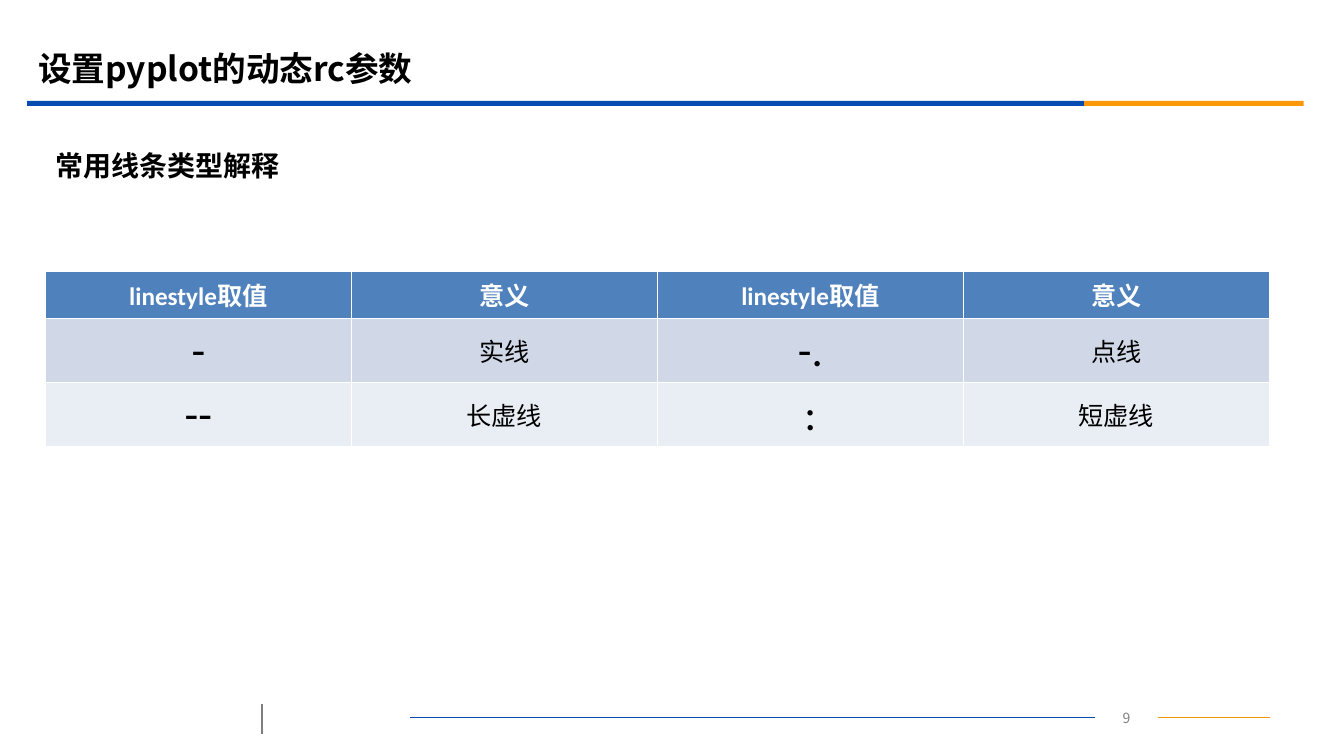
"""Build the slide that explains the common pyplot line styles."""
from dataclasses import dataclass

from lxml import etree
from pptx import Presentation
from pptx.dml.color import RGBColor
from pptx.enum.shapes import MSO_CONNECTOR, MSO_SHAPE
from pptx.enum.text import MSO_ANCHOR, MSO_AUTO_SIZE, PP_ALIGN
from pptx.oxml.ns import qn
from pptx.slide import Slide
from pptx.text.text import TextFrame
from pptx.util import Inches, Pt

STRAIGHT = MSO_CONNECTOR.STRAIGHT
RECTANGLE = MSO_SHAPE.RECTANGLE
MIDDLE = MSO_ANCHOR.MIDDLE
NO_AUTOFIT = MSO_AUTO_SIZE.NONE
LEFT, CENTER = PP_ALIGN.LEFT, PP_ALIGN.CENTER

CHINESE_FONT, LATIN_FONT = "Noto Sans CJK SC", "Calibri"
BLACK, WHITE, GRAY, BLUE = "000000", "FFFFFF", "7F7F7F", "064BB2"
TITLE_ONLY_LAYOUT = 5
THIN_BORDER, HEADER_BORDER = 0.45, 1.47


@dataclass
class Bar:
    left: float
    width: float
    color: str


@dataclass
class Rule:
    start: tuple[float, float]
    end: tuple[float, float]
    color: str
    width: float


@dataclass
class Piece:
    text: str
    font: str = CHINESE_FONT
    size: float = 18


@dataclass
class Row:
    height: float
    fill: str
    color: str
    bold: bool
    top_border: float
    bottom_border: float
    cells: list[list[Piece]]


def symbol(text: str) -> list[Piece]:
    return [Piece(text, LATIN_FONT, 32)]


def meaning(text: str) -> list[Piece]:
    return [Piece(text)]


HEADER_PAIR = [[Piece("linestyle", LATIN_FONT), Piece("取值")], meaning("意义")]
BARS = [Bar(0.27, 10.49, BLUE), Bar(10.76, 2.18, "FB9708")]
RULES = [
    Rule((11.49, 7.12), (12.61, 7.12), "F19500", 0.75),
    Rule((4.07, 7.12), (10.87, 7.12), BLUE, 0.75),
    Rule((2.6, 6.98), (2.6, 7.28), GRAY, 1.25),
]
ROWS = [
    Row(0.47, "4F81BD", WHITE, True, THIN_BORDER, HEADER_BORDER, HEADER_PAIR * 2),
    Row(0.53, "D0D8E8", BLACK, False, HEADER_BORDER, THIN_BORDER,
        [symbol("-"), meaning("实线"), symbol("-."), meaning("点线")]),
    Row(0.53, "E9EDF4", BLACK, False, THIN_BORDER, THIN_BORDER,
        [symbol("--"), meaning("长虚线"), symbol(":"), meaning("短虚线")]),
]


def rgb(color: str) -> RGBColor:
    return RGBColor.from_string(color)


def write_text(frame: TextFrame, pieces: list[Piece], *, color: str = BLACK,
               bold: bool = False, align: PP_ALIGN = LEFT) -> None:
    paragraph = frame.paragraphs[0]
    paragraph.alignment = align
    for piece in pieces:
        run = paragraph.add_run()
        run.text = piece.text
        run.font.size = Pt(piece.size)
        run.font.bold = bold
        run.font.color.rgb = rgb(color)
        run.font.name = piece.font
        east_asian = etree.SubElement(run.font._element, qn("a:ea"))
        east_asian.set("typeface", CHINESE_FONT)


def add_bar(slide: Slide, bar: Bar) -> None:
    shape = slide.shapes.add_shape(
        RECTANGLE, Inches(bar.left), Inches(1), Inches(bar.width), Inches(0.05))
    shape.shadow.inherit = False
    shape.fill.solid()
    shape.fill.fore_color.rgb = rgb(bar.color)
    shape.line.fill.background()


def add_rule(slide: Slide, rule: Rule) -> None:
    connector = slide.shapes.add_connector(
        STRAIGHT, *(Inches(value) for value in rule.start + rule.end))
    connector.line.color.rgb = rgb(rule.color)
    connector.line.width = Pt(rule.width)
    etree.SubElement(connector._element.spPr, qn("a:effectLst"))


def add_text(slide: Slide, box: tuple[float, float, float, float], piece: Piece, *,
             color: str = BLACK, bold: bool = False, align: PP_ALIGN = LEFT,
             anchor: MSO_ANCHOR | None = None) -> None:
    frame = slide.shapes.add_textbox(*(Inches(value) for value in box)).text_frame
    frame.word_wrap = True
    frame.vertical_anchor = anchor
    write_text(frame, [piece], color=color, bold=bold, align=align)


def add_title(slide: Slide, text: str) -> None:
    title = slide.shapes.title
    title.left, title.top = Inches(0.28), Inches(0.39)
    title.width, title.height = Inches(12), Inches(0.58)
    title.text_frame.auto_size = NO_AUTOFIT
    title.text_frame.vertical_anchor = MIDDLE
    write_text(title.text_frame, [Piece(text, size=24)], bold=True)


def set_borders(cell_properties: etree._Element, row: Row) -> None:
    widths = {"a:lnL": THIN_BORDER, "a:lnR": THIN_BORDER,
              "a:lnT": row.top_border, "a:lnB": row.bottom_border}
    for position, (tag, width) in enumerate(widths.items()):
        border = etree.Element(qn(tag), w=str(Pt(width)))
        fill = etree.SubElement(border, qn("a:solidFill"))
        etree.SubElement(fill, qn("a:srgbClr"), val=WHITE)
        cell_properties.insert(position, border)


def add_style_table(slide: Slide) -> None:
    column_count = len(ROWS[0].cells)
    height = sum(row.height for row in ROWS)
    table = slide.shapes.add_table(
        len(ROWS), column_count, Inches(0.45), Inches(2.69),
        Inches(12.15), Inches(height)).table
    for row_index, row in enumerate(ROWS):
        table.rows[row_index].height = Inches(row.height)
        for column_index, pieces in enumerate(row.cells):
            cell = table.cell(row_index, column_index)
            cell.vertical_anchor = MIDDLE
            cell.margin_left = cell.margin_right = Inches(0.08)
            cell.fill.solid()
            cell.fill.fore_color.rgb = rgb(row.fill)
            set_borders(cell._tc.get_or_add_tcPr(), row)
            write_text(cell.text_frame, pieces, color=row.color, bold=row.bold,
                       align=CENTER)


def main() -> None:
    presentation = Presentation()
    presentation.slide_width, presentation.slide_height = Inches(13.34), Inches(7.5)
    slide = presentation.slides.add_slide(
        presentation.slide_layouts[TITLE_ONLY_LAYOUT])
    add_text(slide, (10.87, 6.99, 0.62, 0.25), Piece("9", size=10),
             color=GRAY, align=CENTER)
    for rule in RULES:
        add_rule(slide, rule)
    for bar in BARS:
        add_bar(slide, bar)
    add_title(slide, "设置pyplot的动态rc参数")
    add_text(slide, (0.45, 1.41, 12.15, 0.47), Piece("常用线条类型解释", size=20),
             bold=True, anchor=MIDDLE)
    add_style_table(slide)
    presentation.save("out.pptx")


if __name__ == "__main__":
    main()
